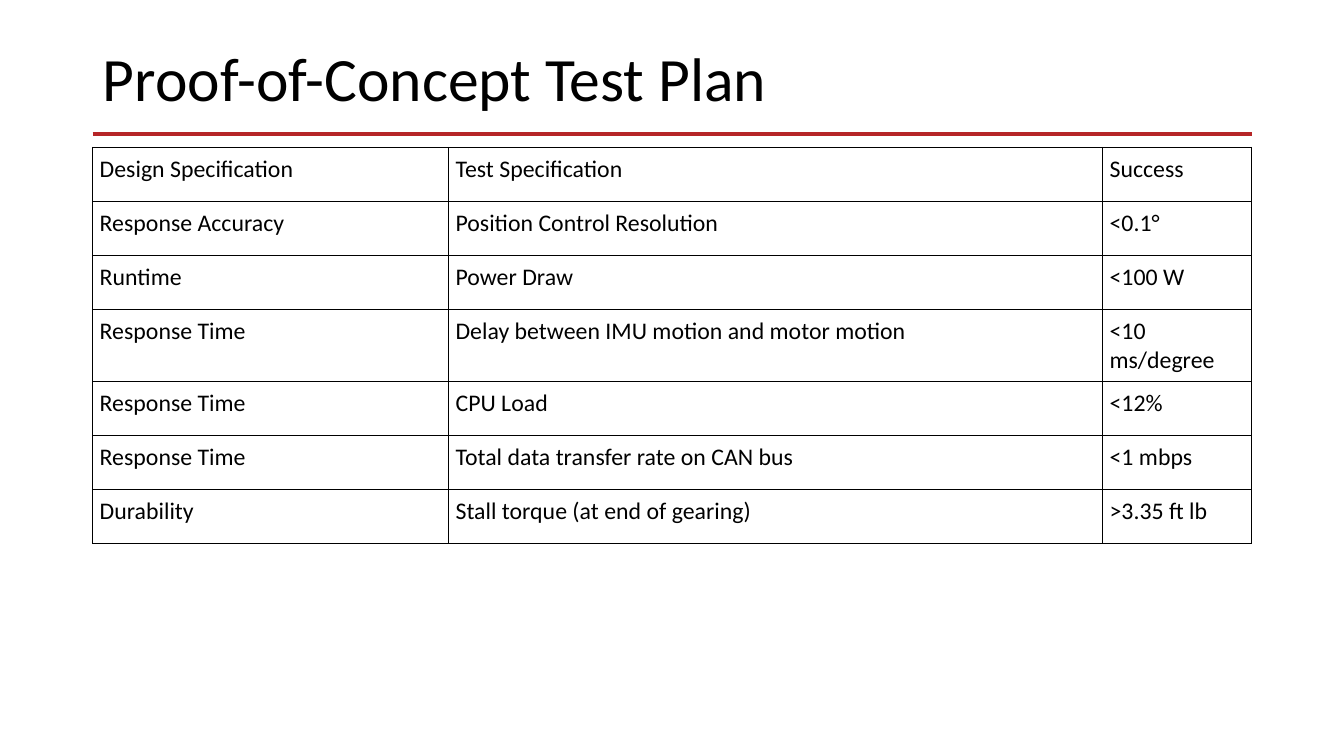
from lxml import etree
from pptx import Presentation
from pptx.dml.color import RGBColor
from pptx.enum.shapes import MSO_CONNECTOR
from pptx.enum.text import MSO_ANCHOR, PP_ALIGN
from pptx.oxml.ns import qn
from pptx.util import Pt

STRAIGHT = MSO_CONNECTOR.STRAIGHT
TOP, MIDDLE = MSO_ANCHOR.TOP, MSO_ANCHOR.MIDDLE
LEFT = PP_ALIGN.LEFT

BLACK = "000000"
RED = "B62527"
MARGIN, CONTENT_WIDTH = 66.24, 828
COLUMN_WIDTHS = [254.2, 467.2, 106.6]
ROW_HEIGHT = 38.6
CELL_INSET = 5

TEST_PLAN = [
    ("Design Specification", "Test Specification", "Success"),
    ("Response Accuracy", "Position Control Resolution", "<0.1°"),
    ("Runtime", "Power Draw", "<100 W"),
    ("Response Time", "Delay between IMU motion and motor motion", "<10 ms/degree"),
    ("Response Time", "CPU Load", "<12%"),
    ("Response Time", "Total data transfer rate on CAN bus", "<1 mbps"),
    ("Durability", "Stall torque (at end of gearing)", ">3.35 ft lb"),
]


def write_text(frame, text, size, color=BLACK, line_spacing=1.0):
    frame.text = text
    paragraph = frame.paragraphs[0]
    paragraph.alignment = LEFT
    paragraph.line_spacing = line_spacing
    font = paragraph.runs[0].font
    font.name = "Calibri"
    font.size = Pt(size)
    font.bold = False
    font.color.rgb = RGBColor.from_string(color)


def add_cell_borders(cell, color, width):
    """Draw all four borders; call before the fill is set, as borders come first."""
    properties = cell._tc.get_or_add_tcPr()
    for side in ("a:lnL", "a:lnR", "a:lnT", "a:lnB"):
        border = etree.SubElement(properties, qn(side), w=str(Pt(width)))
        fill = etree.SubElement(border, qn("a:solidFill"))
        etree.SubElement(fill, qn("a:srgbClr"), val=color)


prs = Presentation()
prs.slide_width, prs.slide_height = Pt(960), Pt(540)
slide = prs.slides.add_slide(prs.slide_layouts[5])

# Title and the rule below it
title = slide.shapes.title
title.left, title.top = Pt(MARGIN), Pt(28.8)
title.width, title.height = Pt(CONTENT_WIDTH), Pt(59)
title.text_frame.vertical_anchor = MIDDLE
write_text(title.text_frame, "Proof-of-Concept Test Plan", size=44, line_spacing=0.9)

title_rule = slide.shapes.add_connector(
    STRAIGHT, Pt(MARGIN), Pt(95.75), Pt(MARGIN + CONTENT_WIDTH), Pt(95.75))
title_rule.line.color.rgb = RGBColor.from_string(RED)
title_rule.line.width = Pt(2.25)
etree.SubElement(title_rule._element.spPr, qn("a:effectLst"))

# Test plan table
plan = slide.shapes.add_table(
    len(TEST_PLAN), len(COLUMN_WIDTHS), Pt(MARGIN), Pt(105.3),
    Pt(CONTENT_WIDTH), Pt(ROW_HEIGHT * len(TEST_PLAN))).table
plan.first_row = False
plan.horz_banding = False
for column, width in zip(plan.columns, COLUMN_WIDTHS):
    column.width = Pt(width)

for row, entries in zip(plan.rows, TEST_PLAN):
    row.height = Pt(ROW_HEIGHT)
    for cell, entry in zip(row.cells, entries):
        add_cell_borders(cell, BLACK, width=1)
        cell.fill.background()
        cell.vertical_anchor = TOP
        cell.margin_left = cell.margin_right = Pt(CELL_INSET)
        cell.margin_top = cell.margin_bottom = Pt(CELL_INSET)
        write_text(cell.text_frame, entry, size=17)

prs.save("out.pptx")
